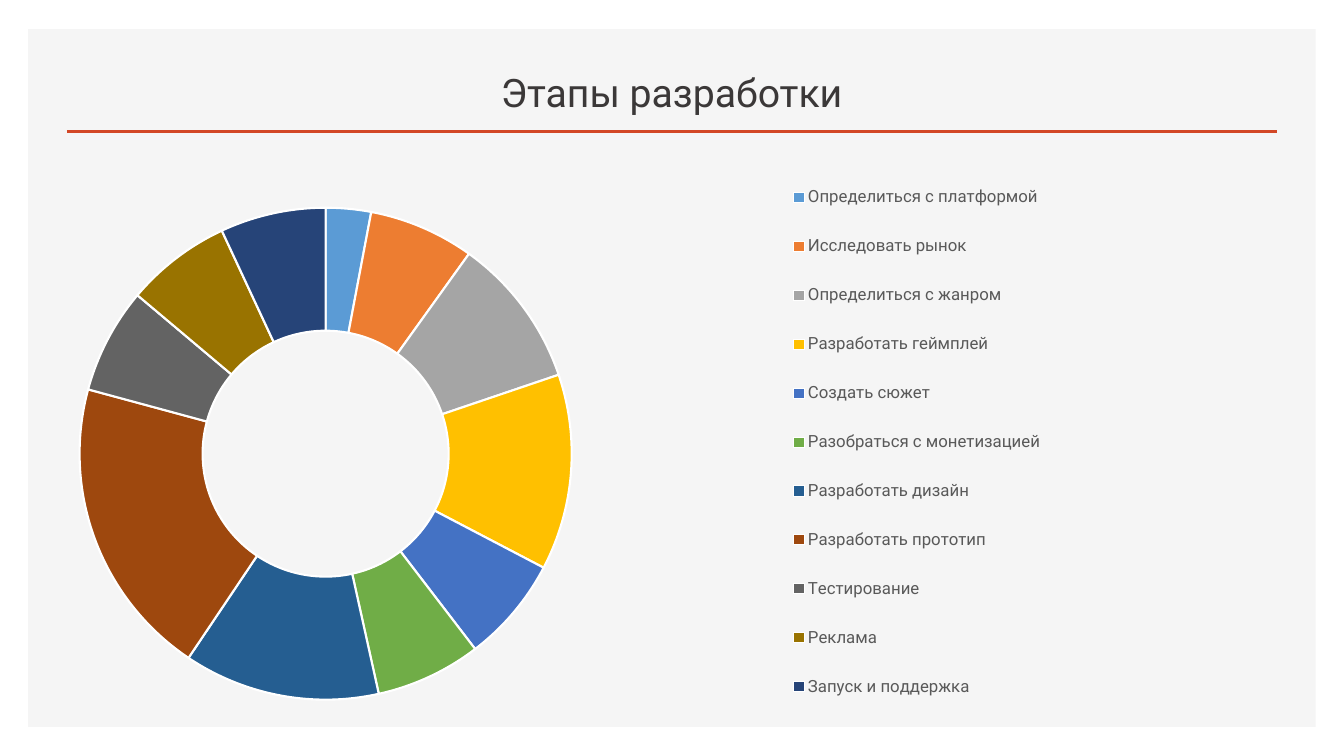
from dataclasses import dataclass

from lxml.etree import SubElement
from pptx import Presentation
from pptx.chart.data import CategoryChartData
from pptx.dml.color import RGBColor
from pptx.enum.chart import XL_CHART_TYPE as ChartType, XL_LEGEND_POSITION as LegendPosition
from pptx.enum.shapes import MSO_CONNECTOR as Connector, MSO_SHAPE as Preset
from pptx.enum.text import MSO_ANCHOR as Anchor, MSO_AUTO_SIZE as AutoSize, PP_ALIGN as Align
from pptx.oxml.ns import qn
from pptx.util import Inches, Pt


@dataclass(frozen=True)
class Theme:
    font: str = "Roboto"
    panel: str = "F5F5F5"
    accent: str = "D24726"
    title: str = "3B3838"
    legend: str = "595959"
    gap: str = "FFFFFF"
    chart: str = "000000"
    title_size: int = 28
    legend_size: int = 12
    chart_size: int = 10
    rule_width: float = 2.25
    gap_width: float = 1.5


STAGES = [
    ("Определиться с платформой", 3, "5B9BD5"),
    ("Исследовать рынок", 7, "ED7D31"),
    ("Определиться с жанром", 10, "A5A5A5"),
    ("Разработать геймплей", 13, "FFC000"),
    ("Создать сюжет", 7, "4472C4"),
    ("Разобраться с монетизацией", 7, "70AD47"),
    ("Разработать дизайн", 13, "255E91"),
    ("Разработать прототип", 20, "9E480E"),
    ("Тестирование", 7, "636363"),
    ("Реклама", 7, "997300"),
    ("Запуск и поддержка", 7, "264478"),
]


class SlideBuilder:
    GRID = 100

    def __init__(self, presentation, theme):
        self.theme = theme
        self.column = presentation.slide_width / self.GRID
        self.row = presentation.slide_height / self.GRID
        self.slide = presentation.slides.add_slide(presentation.slide_layouts[5])

    def box(self, left, top, width, height):
        return (round(left * self.column), round(top * self.row),
                round(width * self.column), round(height * self.row))

    def style(self, font, size, color):
        font.name = self.theme.font
        font.size = Pt(size)
        font.color.rgb = RGBColor.from_string(color)

    def panel(self, *place):
        shape = self.slide.shapes.add_shape(Preset.RECTANGLE, *self.box(*place))
        shape.shadow.inherit = False
        shape.fill.solid()
        shape.fill.fore_color.rgb = RGBColor.from_string(self.theme.panel)
        shape.line.fill.background()

    def rule(self, left, right, top):
        start_x, y, end_x, _ = self.box(left, top, right, 0)
        line = self.slide.shapes.add_connector(Connector.STRAIGHT, start_x, y, end_x, y)
        line.line.color.rgb = RGBColor.from_string(self.theme.accent)
        line.line.width = Pt(self.theme.rule_width)
        SubElement(line.element.spPr, qn("a:effectLst"))

    def title(self, text, *place):
        shape = self.slide.shapes.title
        shape.element.getparent().append(shape.element)
        shape.left, shape.top, shape.width, shape.height = self.box(*place)
        frame = shape.text_frame
        frame.word_wrap = True
        frame.auto_size = AutoSize.NONE
        frame.vertical_anchor = Anchor.BOTTOM
        paragraph = frame.paragraphs[0]
        paragraph.alignment = Align.CENTER
        run = paragraph.add_run()
        run.text = text
        self.style(run.font, self.theme.title_size, self.theme.title)

    def layout(self, parent, after, place, inner=False):
        for old in parent.findall(qn("c:layout")):
            parent.remove(old)
        layout = SubElement(parent, qn("c:layout"))
        manual = SubElement(layout, qn("c:manualLayout"))
        settings = [("layoutTarget", "inner")] if inner else []
        settings += [("xMode", "edge"), ("yMode", "edge")]
        settings += [(name, value / self.GRID) for name, value in zip("xywh", place)]
        for name, value in settings:
            SubElement(manual, qn(f"c:{name}")).set("val", str(value))
        if after is None:
            parent.insert(0, layout)
        else:
            after.addnext(layout)

    def doughnut(self, stages, place, plot_place, legend_place):
        names, values, colors = zip(*stages)
        data = CategoryChartData()
        data.categories = names
        data.add_series("Series 1", values)
        chart = self.slide.shapes.add_chart(ChartType.DOUGHNUT, *self.box(*place), data).chart
        self.style(chart.font, self.theme.chart_size, self.theme.chart)
        chart.has_title = False

        plot = chart.plots[0]
        plot.vary_by_categories = True
        for index, color in enumerate(colors):
            point = plot.series[0].points[index].format
            point.fill.solid()
            point.fill.fore_color.rgb = RGBColor.from_string(color)
            point.line.color.rgb = RGBColor.from_string(self.theme.gap)
            point.line.width = Pt(self.theme.gap_width)

        chart.has_legend = True
        legend = chart.legend
        legend.position = LegendPosition.BOTTOM
        legend.include_in_layout = False
        self.style(legend.font, self.theme.legend_size, self.theme.legend)

        root = chart.element
        root.find(".//" + qn("c:holeSize")).set("val", "75")
        self.layout(root.find(".//" + qn("c:plotArea")), None, plot_place, inner=True)
        legend_element = root.find(".//" + qn("c:legend"))
        self.layout(legend_element, legend_element.find(qn("c:legendPos")), legend_place)


def main():
    presentation = Presentation()
    presentation.slide_width = Inches(13.33)
    presentation.slide_height = Inches(7.5)
    builder = SlideBuilder(presentation, Theme())
    builder.panel(2.1, 3.87, 95.8, 92.3)
    builder.rule(4.98, 95.05, 17.4)
    builder.title("Этапы разработки", 4.28, 6.63, 91.37, 9.33)
    builder.doughnut(
        STAGES,
        place=(4.43, 20.93, 93.17, 75.33),
        plot_place=(1.6, 8.7, 39.3, 86.4),
        legend_place=(49, 0, 39, 99.7),
    )
    presentation.save("out.pptx")


if __name__ == "__main__":
    main()
